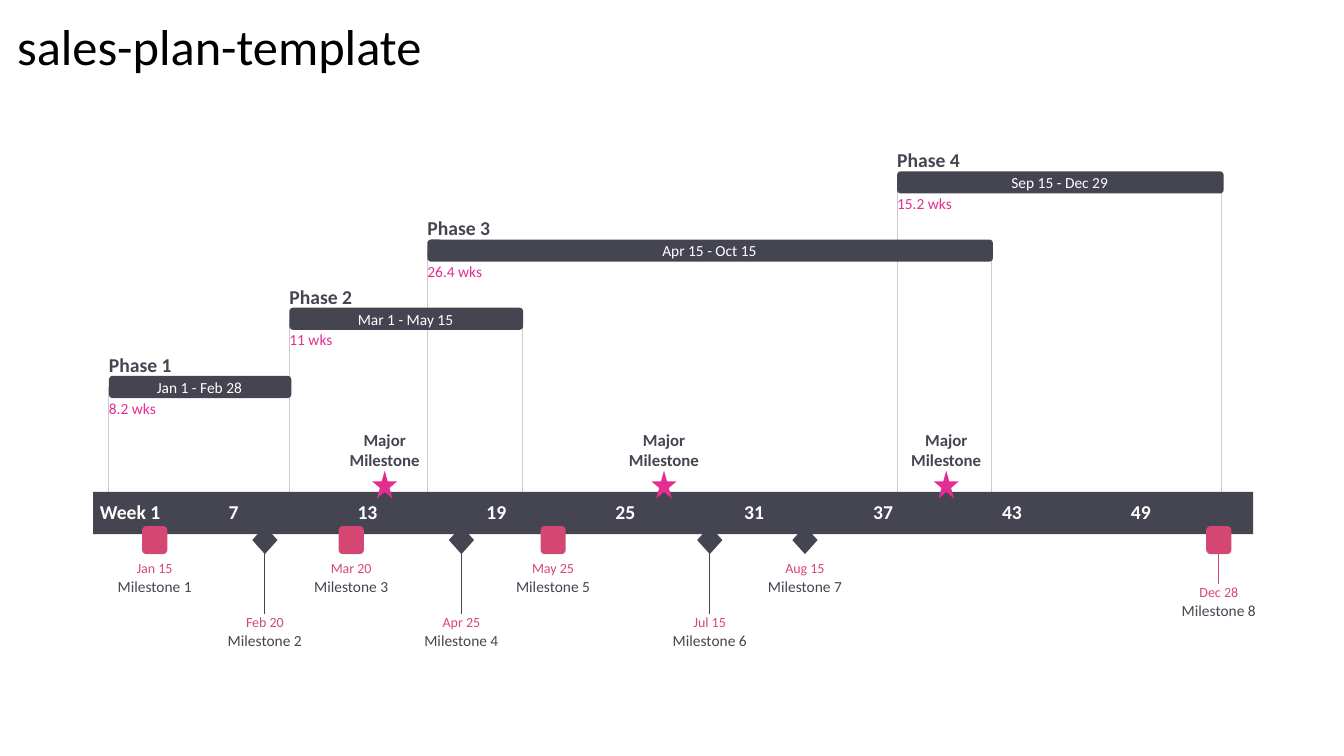
from lxml import etree
from pptx import Presentation
from pptx.dml.color import RGBColor
from pptx.enum.shapes import MSO_CONNECTOR, MSO_SHAPE
from pptx.enum.text import MSO_ANCHOR, MSO_AUTO_SIZE, PP_ALIGN
from pptx.oxml.ns import qn
from pptx.util import Pt

LEFT, MID = PP_ALIGN.LEFT, PP_ALIGN.CENTER
CENTRE = MSO_ANCHOR.MIDDLE
FIXED = MSO_AUTO_SIZE.NONE
RECT, ROUND = MSO_SHAPE.RECTANGLE, MSO_SHAPE.ROUNDED_RECTANGLE
STAR, GEM = MSO_SHAPE.STAR_5_POINT, MSO_SHAPE.DIAMOND
STRAIGHT = MSO_CONNECTOR.STRAIGHT

DARK = RGBColor(0x45, 0x45, 0x51)
ROSE = RGBColor(0xD5, 0x47, 0x73)
PINK = RGBColor(0xE3, 0x2D, 0x91)
GREY = RGBColor(0xCC, 0xCC, 0xCC)
WHITE = RGBColor(0xFF, 0xFF, 0xFF)
BLACK = RGBColor(0, 0, 0)

BAND_TOP = 351.4
MARK_TOP = 375.8
NEAR, LOW, FAR = 399.6, 416.9, 438.5

PHASES = (
    ("Phase 1", 77.8, 130.3, "Jan 1 - Feb 28", "8.2 wks"),
    ("Phase 2", 206.7, 167, "Mar 1 - May 15", "11 wks"),
    ("Phase 3", 305.3, 404, "Apr 15 - Oct 15", "26.4 wks"),
    ("Phase 4", 640.8, 233.3, "Sep 15 - Dec 29", "15.2 wks"),
)
EDGES = ((77.8, 0), (373, 1), (206.7, 1), (708.5, 2),
         (305.3, 2), (872.6, 3), (640.8, 3))
STARS = (274.8, 474.3, 675.9)
STONES = (
    ("Jan 15", 110.5, NEAR, ROUND, ROSE),
    ("Feb 20", 189.2, FAR, GEM, DARK),
    ("Mar 20", 250.9, NEAR, ROUND, ROSE),
    ("Apr 25", 329.6, FAR, GEM, DARK),
    ("May 25", 395.1, NEAR, ROUND, ROSE),
    ("Jul 15", 507, FAR, GEM, DARK),
    ("Aug 15", 575, NEAR, GEM, DARK),
    ("Dec 28", 870.6, LOW, ROUND, ROSE),
)


def row_top(row):
    return 268.5 - 48.7 * row


def write(shape, text, size=11, color=DARK, bold=False, align=LEFT,
          wrap=False, inset=0):
    frame = shape.text_frame
    frame.auto_size = FIXED
    frame.word_wrap = wrap
    frame.vertical_anchor = CENTRE
    frame.margin_left = frame.margin_right = Pt(inset)
    frame.margin_top = frame.margin_bottom = Pt(inset / 2)
    para = frame.paragraphs[0]
    para.alignment = align
    run = para.add_run()
    run.text = text
    font = run.font
    font.name, font.size, font.bold = "Calibri", Pt(size), bold
    font.color.rgb = color


class Chart:
    def __init__(self, slide):
        self.slide = slide
        self.shapes = slide.shapes

    def title(self, text, x, y, w, h):
        shape = self.shapes.title
        shape.left, shape.top = Pt(x), Pt(y)
        shape.width, shape.height = Pt(w), Pt(h)
        write(shape, text, size=36, color=BLACK, wrap=True, inset=7.2)

    def text(self, text, x, y, w, h, **style):
        box = self.shapes.add_textbox(Pt(x), Pt(y), Pt(w), Pt(h))
        write(box, text, **style)

    def label(self, text, mid, y, w, h, **style):
        self.text(text, mid - w / 2, y, w, h, align=MID, **style)

    def block(self, kind, x, y, w, h, color):
        shape = self.shapes.add_shape(kind, Pt(x), Pt(y), Pt(w), Pt(h))
        shape.shadow.inherit = False
        shape.fill.solid()
        shape.fill.fore_color.rgb = color
        shape.line.fill.background()

    def drop(self, x, top, end, color):
        line = self.shapes.add_connector(STRAIGHT, Pt(x), Pt(top), Pt(x), Pt(end))
        line.line.color.rgb = color
        line.line.width = Pt(0.75)
        etree.SubElement(line._element.spPr, qn("a:effectLst"))


def main():
    deck = Presentation()
    deck.slide_width, deck.slide_height = Pt(960), Pt(540)
    chart = Chart(deck.slides.add_slide(deck.slide_layouts[5]))
    chart.title("sales-plan-template", 5, 7.2, 582.5, 51)

    for date, mid, top, kind, color in STONES:
        if top > NEAR:
            chart.drop(mid, 385.9, top, color)
    for x, row in EDGES:
        chart.drop(x, row_top(row) + 8, BAND_TOP, GREY)

    chart.block(RECT, 66.5, BAND_TOP, 828.7, 30.2, DARK)
    for step in range(9):
        week = 1 + 6 * step
        text = f"Week {week}" if step == 0 else str(week)
        chart.text(text, 71.3 + 92.07 * step, 357.1, 44 if step == 0 else 14, 17.3,
                   size=14, color=WHITE, bold=True)

    for row, (name, x, width, dates, weeks) in enumerate(PHASES):
        top = row_top(row)
        chart.block(ROUND, x, top, width, 15.8, DARK)
        chart.text(name, x, top - 16.8, 44.6, 17.3, size=14, bold=True)
        chart.text(weeks, x, top + 16, 40, 13.7, color=PINK)
        chart.label(dates, x + width / 2 - 0.5, top + 1.2, 68, 13.7, color=WHITE)

    for mid in STARS:
        chart.block(STAR, mid - 9, 336.2, 18, 20, PINK)
        chart.label("Major Milestone", mid, 306.7, 52, 29.5,
                    size=12, bold=True, wrap=True)

    for count, (date, mid, top, kind, color) in enumerate(STONES, 1):
        chart.block(kind, mid - 9, MARK_TOP, 18, 20, color)
        chart.label(f"Milestone {count}", mid, top + 12.2, 53.3, 13.7)
        chart.label(date, mid, top, 28, 12.2, size=10, color=ROSE)

    deck.save("out.pptx")


if __name__ == "__main__":
    main()
